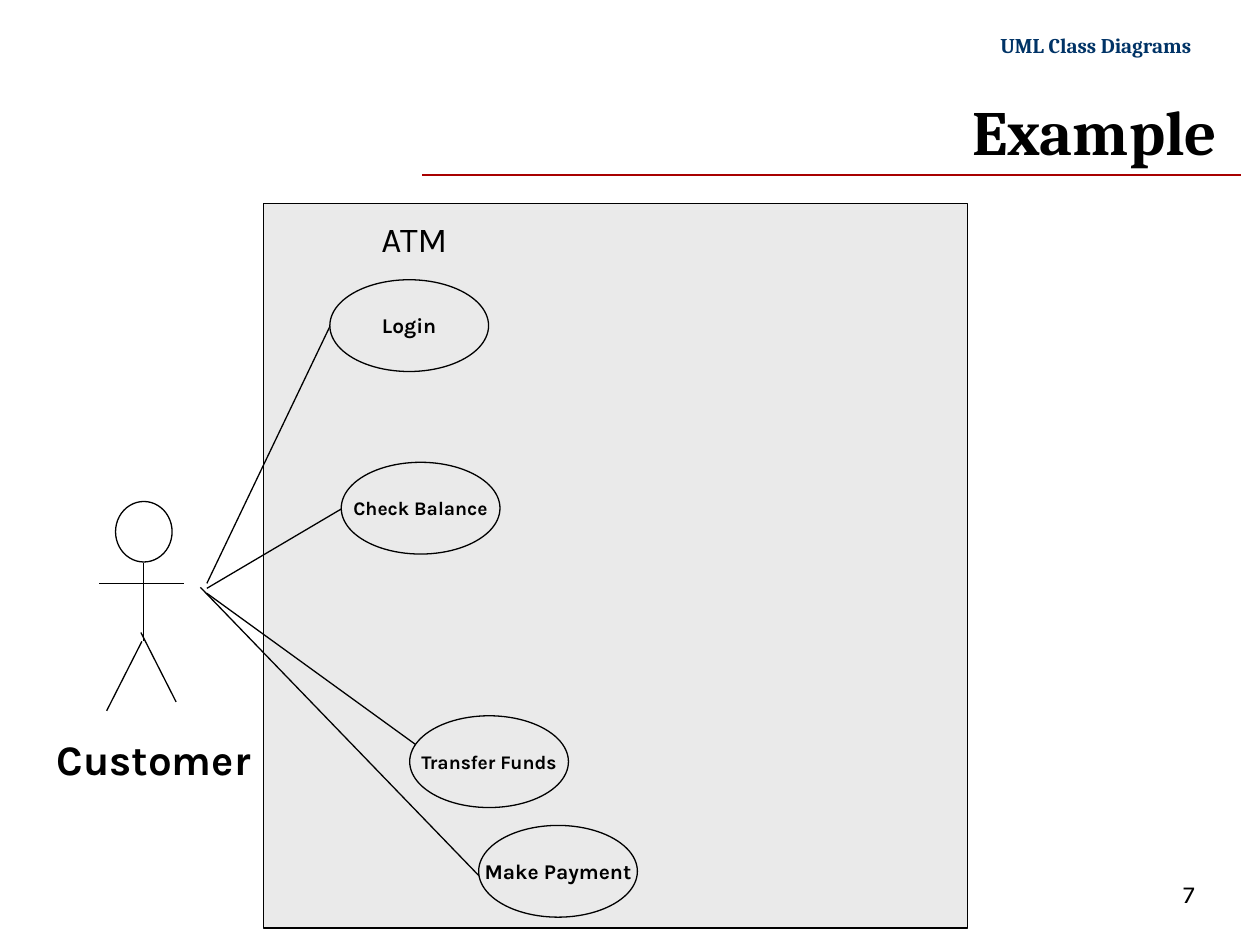
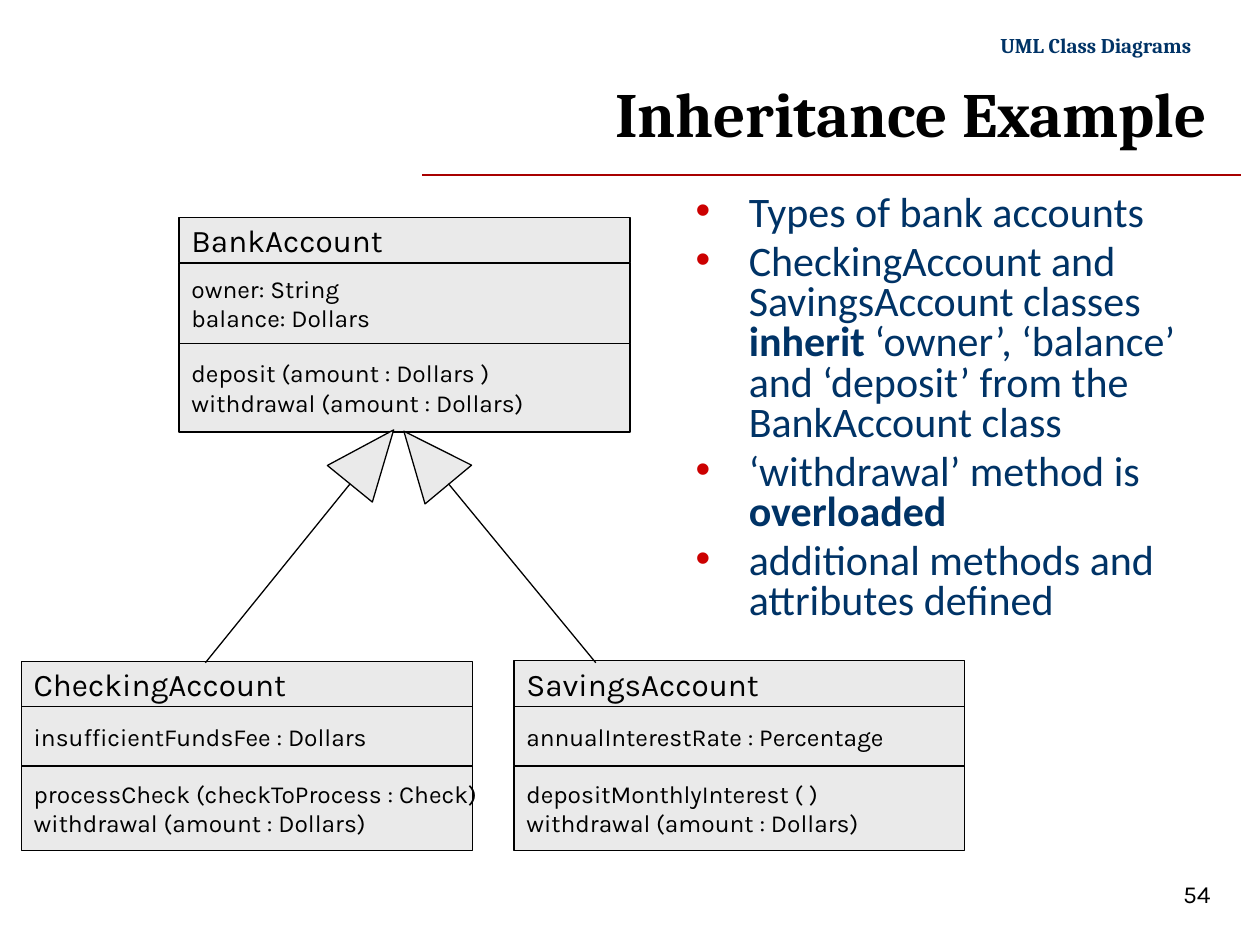
from lxml.etree import SubElement
from pptx import Presentation
from pptx.dml.color import RGBColor
from pptx.enum.shapes import MSO_CONNECTOR, MSO_SHAPE
from pptx.enum.text import MSO_ANCHOR, MSO_AUTO_SIZE, PP_ALIGN
from pptx.oxml.ns import qn
from pptx.util import Cm, Pt

BLACK, NAVY, PALE = "000000", "003366", "EAEAEA"
RULE_RED, BULLET_RED = "A80000", "CC0000"
HEADING_FONT, BODY_FONT, DIAGRAM_FONT = "Cambria", "Calibri", "Karla"
TITLE_ONLY, TITLE_AND_CONTENT = 5, 1


def color(hex_string):
    """Turn a hex string into a colour."""
    return RGBColor.from_string(hex_string)


def style(paragraph, size, font=DIAGRAM_FONT, hex_color=BLACK, bold=False,
          align=PP_ALIGN.LEFT):
    """Format a whole paragraph."""
    paragraph.alignment = align
    paragraph.font.size = Pt(size)
    paragraph.font.name = font
    paragraph.font.bold = bold
    paragraph.font.color.rgb = color(hex_color)


def place(shape, left, top, width, height):
    """Move a placeholder to a box given in centimetres."""
    shape.left, shape.top = Cm(left), Cm(top)
    shape.width, shape.height = Cm(width), Cm(height)


def add_line(shapes, start, end, hex_color=BLACK):
    """Draw a thin straight line between two points."""
    line = shapes.add_connector(MSO_CONNECTOR.STRAIGHT,
                                *map(Cm, start), *map(Cm, end))
    line.line.color.rgb = color(hex_color)
    line.line.width = Pt(0.75)
    SubElement(line._element.spPr, qn("a:effectLst"))


def add_outlined(shapes, kind, box, fill=PALE):
    """Draw a preset shape with a thin black outline."""
    shape = shapes.add_shape(kind, *map(Cm, box))
    shape.shadow.inherit = False
    if fill:
        shape.fill.solid()
        shape.fill.fore_color.rgb = color(fill)
    else:
        shape.fill.background()
    shape.line.color.rgb = color(BLACK)
    shape.line.width = Pt(0.75)
    return shape


def write_inside(shape, lines, size, **options):
    """Write unwrapped, vertically centred lines in a shape."""
    frame = shape.text_frame
    frame.word_wrap = False
    frame.vertical_anchor = MSO_ANCHOR.MIDDLE
    frame.text = "\n".join(lines)
    for paragraph in frame.paragraphs:
        style(paragraph, size, **options)


def add_label(slide, text, box, size, wrap=False, **options):
    """Add one line of free text."""
    frame = slide.shapes.add_textbox(*map(Cm, box)).text_frame
    frame.word_wrap = wrap
    frame.auto_size = MSO_AUTO_SIZE.SHAPE_TO_FIT_TEXT
    frame.text = text
    style(frame.paragraphs[0], size, **options)


def add_slide(presentation, layout, title, left, top, number):
    """Start a slide with the shared rule, header, title and number."""
    slide = presentation.slides.add_slide(presentation.slide_layouts[layout])
    add_line(slide.shapes, (8.51, 3.53), (25.02, 3.53), RULE_RED)
    add_label(slide, "UML Class Diagrams ", (19.81, 0.53, 4.55, 0.76), 12,
              font=HEADING_FONT, hex_color=NAVY, bold=True,
              align=PP_ALIGN.RIGHT)
    add_label(slide, number, (23.6, 17.6, 1.8, 0.86), 14, wrap=True)
    heading = slide.shapes.title
    place(heading, left, top, 19.48, 1.9)
    frame = heading.text_frame
    frame.text = title
    frame.auto_size = MSO_AUTO_SIZE.NONE
    frame.vertical_anchor = MSO_ANCHOR.MIDDLE
    style(frame.paragraphs[0], 36, HEADING_FONT, BLACK, True, PP_ALIGN.RIGHT)
    return slide


def add_actor(slide, left, top):
    """Draw a stick figure whose box starts at left, top."""
    shapes = slide.shapes.add_group_shape().shapes
    limbs = [
        ((0.89, 1.24), (0.89, 2.82)),
        ((0, 1.65), (1.7, 1.65)),
        ((0.86, 2.82), (0.15, 4.22)),
        ((0.84, 2.64), (1.55, 4.04)),
    ]
    for (x1, y1), (x2, y2) in limbs:
        add_line(shapes, (left + x1, top + y1), (left + x2, top + y2))
    add_outlined(shapes, MSO_SHAPE.OVAL, (left + 0.33, top, 1.14, 1.22), None)


def add_use_case(slide, text, size, left, top, start, end):
    """Draw a use case and the line that joins the actor to it."""
    add_line(slide.shapes, start, end)
    oval = add_outlined(slide.shapes, MSO_SHAPE.OVAL, (left, top, 3.2, 1.85))
    write_inside(oval, [text], size, bold=True, align=PP_ALIGN.CENTER)


def add_class(slide, left, top, name, attributes, methods, heights):
    """Stack the name, attribute and method boxes of a class."""
    shapes = slide.shapes.add_group_shape().shapes
    parts = [([name], 18), (attributes, 14), (methods, 14)]
    for (lines, size), height in zip(parts, heights):
        part = add_outlined(shapes, MSO_SHAPE.RECTANGLE,
                            (left, top, 9.09, height))
        write_inside(part, lines, size)
        top += height


def add_inheritance(slide, triangle, rotation, start, end):
    """Draw a line from a subclass up to a turned triangle."""
    shapes = slide.shapes.add_group_shape().shapes
    head = add_outlined(shapes, MSO_SHAPE.ISOSCELES_TRIANGLE, triangle)
    head.rotation = rotation
    add_line(shapes, start, end)


def fill_bullets(body, box, items):
    """Fill the body with bullets, each a list of (text, bold) runs."""
    place(body, *box)
    frame = body.text_frame
    frame.auto_size = MSO_AUTO_SIZE.NONE
    for index, runs in enumerate(items):
        paragraph = frame.add_paragraph() if index else frame.paragraphs[0]
        style(paragraph, 24, BODY_FONT, NAVY)
        paragraph.line_spacing = 0.8
        for text, bold in runs:
            run = paragraph.add_run()
            run.text = text
            run.font.bold = bold
        properties = paragraph._p.get_or_add_pPr()
        properties.set("marL", str(Cm(1.07)))
        properties.set("indent", str(-Cm(1.07)))
        bullet_color = SubElement(properties, qn("a:buClr"))
        SubElement(bullet_color, qn("a:srgbClr")).set("val", BULLET_RED)
        SubElement(properties, qn("a:buChar")).set("char", "•")


def build_use_cases(presentation):
    """Build the use case diagram of the ATM."""
    slide = add_slide(presentation, TITLE_ONLY, "Example", 5.31, 1.68, "7")
    add_outlined(slide.shapes, MSO_SHAPE.RECTANGLE, (5.31, 4.11, 14.2, 14.6))
    add_actor(slide, 2, 10.11)
    add_label(slide, "Customer", (0.89, 14.66, 4.65, 1.27), 24, bold=True)
    add_label(slide, "ATM", (7.44, 4.27, 1.85, 1.12), 20)
    use_cases = [
        ("Login", 12, 6.65, 5.64, (4.17, 11.76), (6.65, 6.58)),
        ("Check Balance", 11, 6.88, 9.32, (4.17, 11.86), (6.88, 10.26)),
        ("Transfer Funds", 11, 8.26, 14.43, (4.17, 11.96), (8.38, 15.01)),
        ("Make Payment", 12, 9.65, 16.64, (4.04, 11.84), (9.68, 17.68)),
    ]
    for use_case in use_cases:
        add_use_case(slide, *use_case)


def build_inheritance(presentation):
    """Build the class diagram with its bullets."""
    slide = add_slide(presentation, TITLE_AND_CONTENT, "Inheritance Example",
                      5.1, 1.32, "54")
    fill_bullets(slide.placeholders[1], (13.77, 3.81, 11.25, 11.07), [
        [("Types of bank accounts", False)],
        [("CheckingAccount and SavingsAccount classes ", False),
         ("inherit ", True),
         ("‘owner’, ‘balance’ and ‘deposit’ from the BankAccount class",
          False)],
        [("‘withdrawal’ method is", False), (" overloaded", True)],
        [("additional methods and attributes defined", False)],
    ])
    withdrawal = "withdrawal (amount : Dollars)"
    add_class(slide, 3.61, 4.39, "BankAccount",
              ["owner: String", "balance: Dollars"],
              ["deposit (amount : Dollars )", withdrawal], (0.91, 1.63, 1.78))
    add_class(slide, 0.43, 13.34, "CheckingAccount",
              ["insufficientFundsFee : Dollars"],
              ["processCheck (checkToProcess : Check)", withdrawal],
              (0.91, 1.19, 1.7))
    add_class(slide, 10.36, 13.31, "SavingsAccount",
              ["annualInterestRate : Percentage"],
              ["depositMonthlyInterest ( )", withdrawal], (0.94, 1.19, 1.7))
    add_inheritance(slide, (6.91, 8.51, 1.17, 1.4), 39.1,
                    (4.14, 13.36), (7.06, 9.75))
    add_inheritance(slide, (7.98, 8.53, 1.22, 1.4), 320.2,
                    (12.01, 13.36), (9.04, 9.75))


presentation = Presentation()
presentation.slide_width, presentation.slide_height = Cm(25.4), Cm(19.05)
build_use_cases(presentation)
build_inheritance(presentation)
presentation.save("out.pptx")
